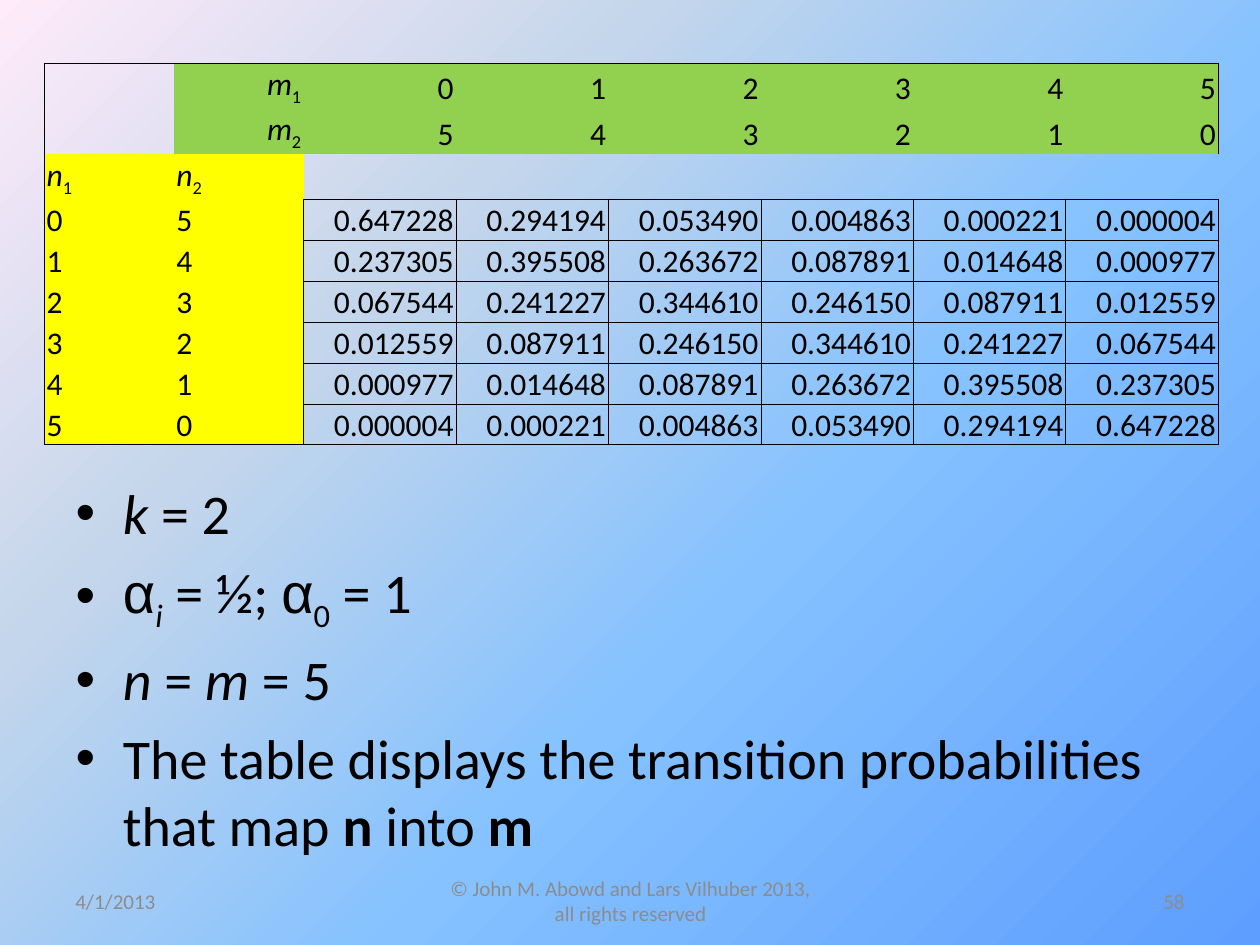
import lxml.etree
import pptx
import pptx.dml.color
import pptx.enum.text
import pptx.oxml
import pptx.oxml.ns
import pptx.util

ALIGN = pptx.enum.text.PP_ALIGN
ANCHOR = pptx.enum.text.MSO_ANCHOR
WIDTH, HEIGHT = 10, 7.5
BLACK, GRAY, GREEN, YELLOW = "000000", "8C8C8C", "92D050", "FFFF00"
GRADIENT = [(0, "5E9EFF"), (40, "85C2FF"), (70, "C4D6EB"), (100, "FFEBFA")]

ITALIC = {"italic": True}
BOLD = {"bold": True}
SUBSCRIPT = {"baseline": -25}
GREEK = {"font": "Arial"}

BULLETS = [
    [("k", ITALIC), (" = 2", {})],
    [("α", GREEK), ("i", ITALIC | SUBSCRIPT), (" = ½; ", {}),
     ("α", GREEK), ("0", SUBSCRIPT), (" = 1", {})],
    [("n", ITALIC), (" = ", {}), ("m", ITALIC), (" = 5", {})],
    [("The table displays the transition probabilities that map ", {}),
     ("n", BOLD), (" into ", {}), ("m", BOLD)],
]
PROBABILITIES = [
    ["0.647228", "0.294194", "0.053490", "0.004863", "0.000221", "0.000004"],
    ["0.237305", "0.395508", "0.263672", "0.087891", "0.014648", "0.000977"],
    ["0.067544", "0.241227", "0.344610", "0.246150", "0.087911", "0.012559"],
    ["0.012559", "0.087911", "0.246150", "0.344610", "0.241227", "0.067544"],
    ["0.000977", "0.014648", "0.087891", "0.263672", "0.395508", "0.237305"],
    ["0.000004", "0.000221", "0.004863", "0.053490", "0.294194", "0.647228"],
]
FOOTERS = [
    ("4/1/2013", 0.5, 2.33, ALIGN.LEFT),
    ("© John M. Abowd and Lars Vilhuber 2013, all rights reserved", 3.42, 3.17, ALIGN.CENTER),
    ("58", 7.17, 2.33, ALIGN.RIGHT),
]
COUNT = len(PROBABILITIES)
HEADER_ROWS, LABEL_COLUMNS = 3, 2
COLUMN_WIDTHS = [1.03] * LABEL_COLUMNS + [1.21] * COUNT
ROW_HEIGHTS = [0.36] * HEADER_ROWS + [0.32] * COUNT


def color(value):
    return pptx.dml.color.RGBColor.from_string(value)


def add_text(paragraph, text, size=18, font="Calibri", fill=BLACK,
             bold=False, italic=False, baseline=0):
    run = paragraph.add_run()
    run.text = text
    run.font.size = pptx.util.Pt(size)
    run.font.name = font
    run.font.bold = bold
    run.font.italic = italic
    run.font.color.rgb = color(fill)
    if baseline:
        run.font._element.set("baseline", str(baseline * 1000))


def set_background(slide):
    fill = slide.background.fill
    fill.gradient()
    gradient = slide.background._cSld.find(".//" + pptx.oxml.ns.qn("a:gradFill"))
    stops = "".join(
        f'<a:gs pos="{position * 1000}"><a:srgbClr val="{value}"/></a:gs>'
        for position, value in GRADIENT)
    gradient.getparent().replace(gradient, pptx.oxml.parse_xml(
        f'<a:gradFill {pptx.oxml.ns.nsdecls("a")} rotWithShape="1"><a:gsLst>{stops}</a:gsLst>'
        '<a:path path="circle"><a:fillToRect l="100000" t="100000"/></a:path></a:gradFill>'))


def set_borders(cell, sides):
    for index, (side, visible) in enumerate(sides.items()):
        paint = f'<a:solidFill><a:srgbClr val="{BLACK}"/></a:solidFill>' if visible else "<a:noFill/>"
        cell._tc.get_or_add_tcPr().insert(index, pptx.oxml.parse_xml(
            f'<a:ln{side} {pptx.oxml.ns.nsdecls("a")} w="6350">{paint}</a:ln{side}>'))


def variable(name, index):
    return [(name, ITALIC), (str(index), SUBSCRIPT)]


def table_rows():
    ascending = [[(str(number), {})] for number in range(COUNT)]
    descending = ascending[::-1]
    rows = [
        [[], variable("m", 1)] + ascending,
        [[], variable("m", 2)] + descending,
        [variable("n", 1), variable("n", 2)] + [[]] * COUNT,
    ]
    for first, second, values in zip(ascending, descending, PROBABILITIES):
        rows.append([first, second] + [[(value, {})] for value in values])
    return rows


def format_cell(cell, runs, row, column):
    cell.margin_left = cell.margin_right = cell.margin_top = pptx.util.Inches(0.02)
    cell.margin_bottom = 0
    cell.vertical_anchor = ANCHOR.BOTTOM
    in_header = row < HEADER_ROWS - 1
    in_labels = column < LABEL_COLUMNS
    if in_header and column > 0:
        background = GREEN
    elif in_labels and not in_header:
        background = YELLOW
    else:
        background = None
    if background:
        cell.fill.solid()
        cell.fill.fore_color.rgb = color(background)
    else:
        cell.fill.background()
    paragraph = cell.text_frame.paragraphs[0]
    paragraph.alignment = ALIGN.RIGHT if in_header or not in_labels else ALIGN.LEFT
    for text, style in runs:
        add_text(paragraph, text, **style)
    in_body = row >= HEADER_ROWS
    set_borders(cell, {
        "L": column == 0 or in_body and not in_labels,
        "R": column == len(COLUMN_WIDTHS) - 1 or in_body and column >= LABEL_COLUMNS - 1,
        "T": row == 0 or in_body and not in_labels,
        "B": row == len(ROW_HEIGHTS) - 1 or row >= HEADER_ROWS - 1 and not in_labels,
    })


def add_transition_table(slide):
    table = slide.shapes.add_table(
        len(ROW_HEIGHTS), len(COLUMN_WIDTHS), pptx.util.Inches(0.35), pptx.util.Inches(0.5),
        pptx.util.Inches(sum(COLUMN_WIDTHS)), pptx.util.Inches(sum(ROW_HEIGHTS))).table
    table.first_row = table.horz_banding = False
    for column, width in zip(table.columns, COLUMN_WIDTHS):
        column.width = pptx.util.Inches(width)
    for row, height in zip(table.rows, ROW_HEIGHTS):
        row.height = pptx.util.Inches(height)
    for row, cells in enumerate(table_rows()):
        for column, runs in enumerate(cells):
            format_cell(table.cell(row, column), runs, row, column)
    table.cell(0, 0).merge(table.cell(1, 0))
    table.cell(2, LABEL_COLUMNS).merge(table.cell(2, len(COLUMN_WIDTHS) - 1))


def add_bullets(slide):
    body = slide.placeholders[1]
    body.left, body.top = pptx.util.Inches(0.5), pptx.util.Inches(HEIGHT / 2)
    body.width, body.height = pptx.util.Inches(9), pptx.util.Inches(2.95)
    frame = body.text_frame
    frame.auto_size = pptx.enum.text.MSO_AUTO_SIZE.NONE
    for index, runs in enumerate(BULLETS):
        paragraph = frame.add_paragraph() if index else frame.paragraphs[0]
        for text, style in runs:
            add_text(paragraph, text, size=32, **style)


def add_footer(slide, text, left, width, alignment):
    box = slide.shapes.add_textbox(
        pptx.util.Inches(left), pptx.util.Inches(6.95),
        pptx.util.Inches(width), pptx.util.Inches(0.4))
    frame = box.text_frame
    frame.word_wrap = True
    frame.vertical_anchor = ANCHOR.MIDDLE
    frame.paragraphs[0].alignment = alignment
    add_text(frame.paragraphs[0], text, size=12, fill=GRAY)


def main():
    presentation = pptx.Presentation()
    presentation.slide_width = pptx.util.Inches(WIDTH)
    presentation.slide_height = pptx.util.Inches(HEIGHT)
    slide = presentation.slides.add_slide(presentation.slide_layouts[1])
    title = slide.shapes.title._element
    title.getparent().remove(title)
    set_background(slide)
    add_bullets(slide)
    add_transition_table(slide)
    for footer in FOOTERS:
        add_footer(slide, *footer)
    presentation.save("out.pptx")


if __name__ == "__main__":
    main()
